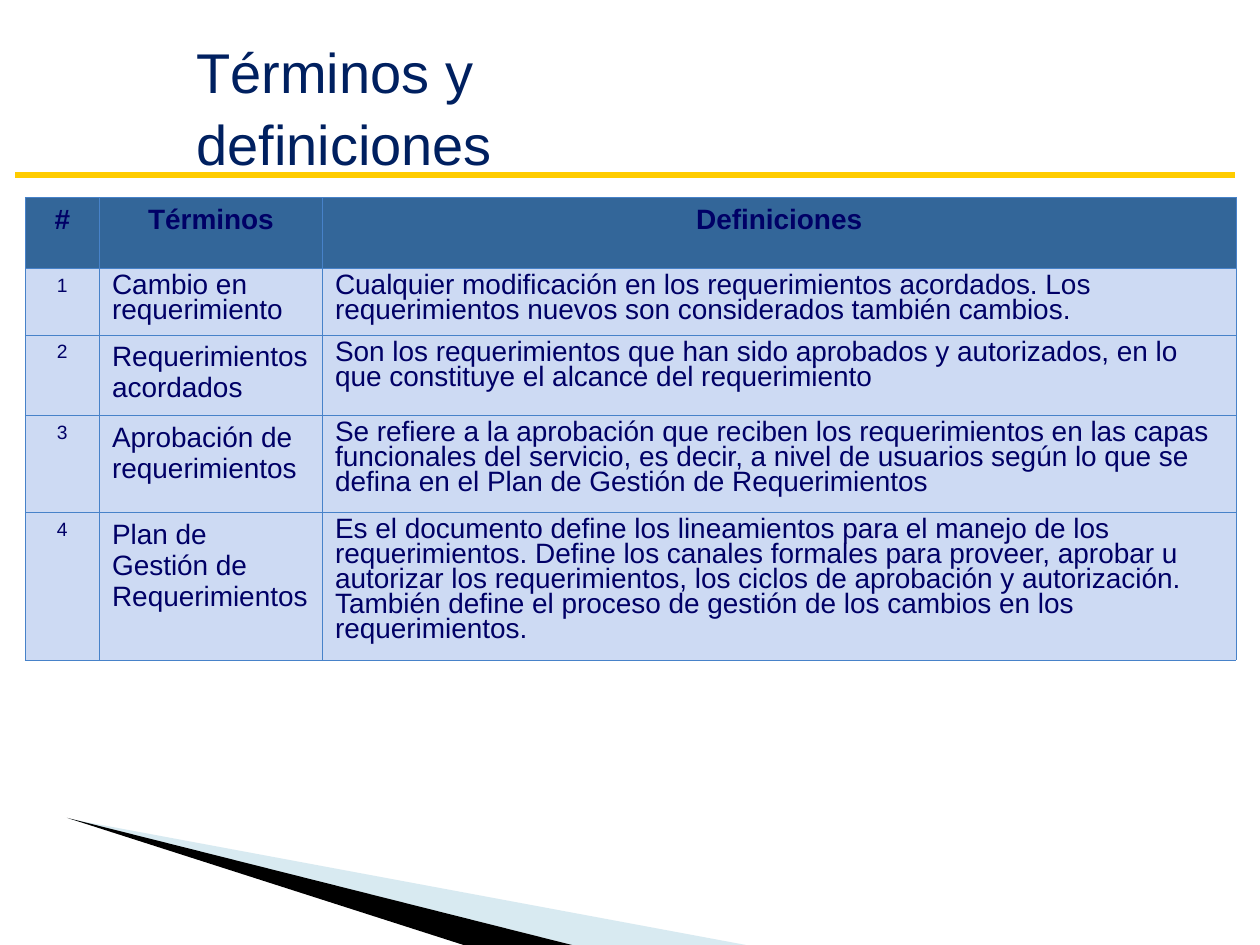
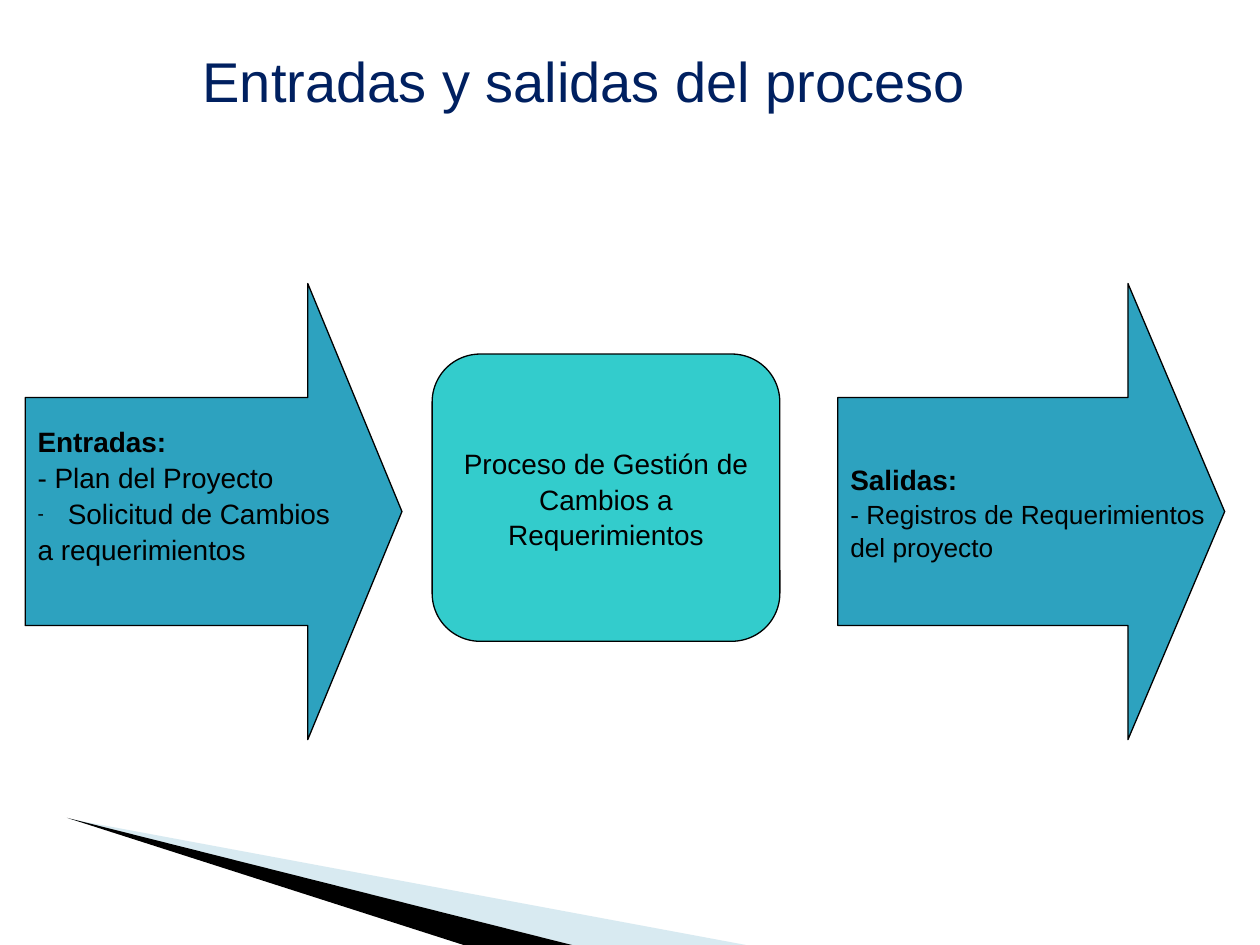
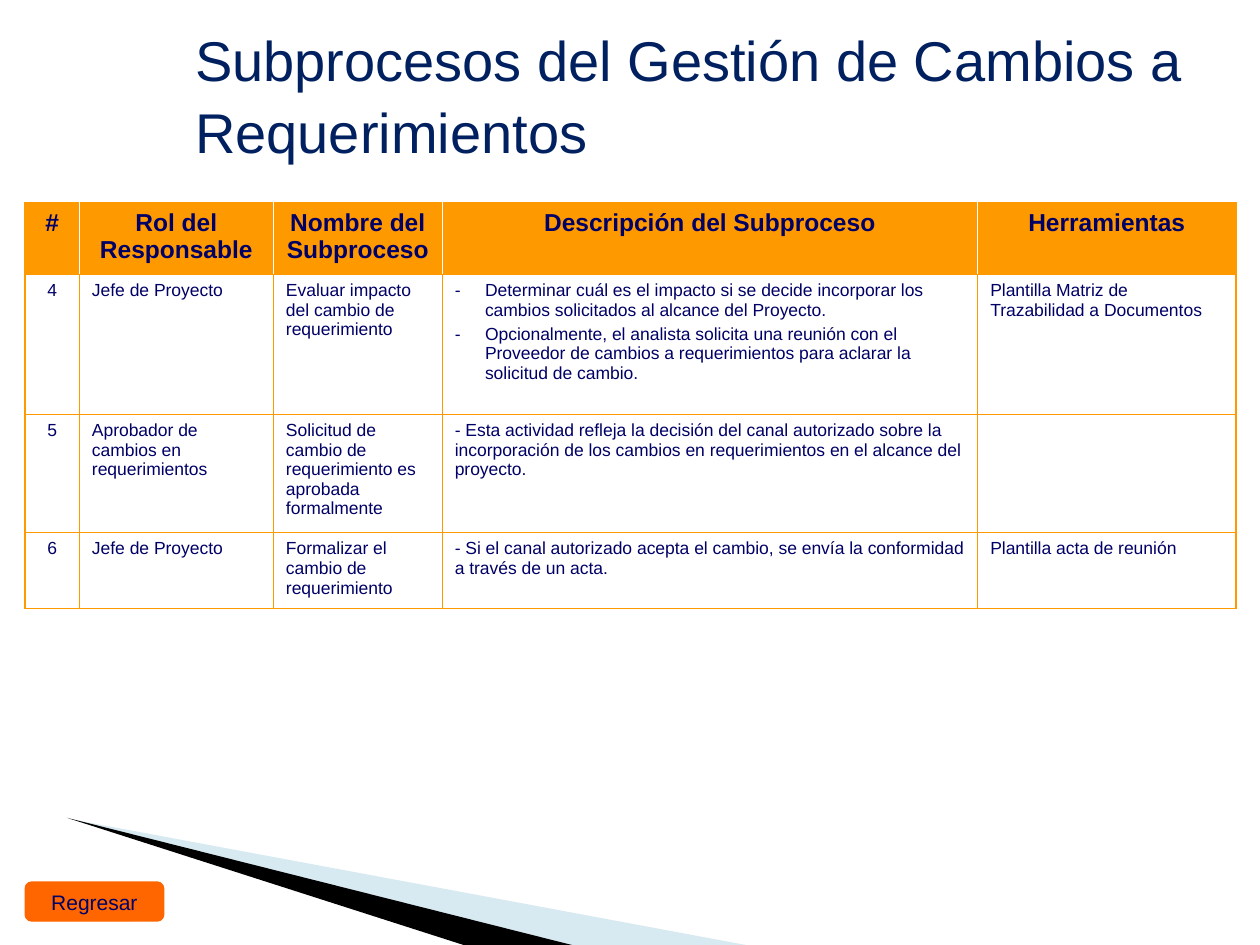
import pptx
import pptx.util
import pptx.dml.color
import pptx.enum.shapes
import pptx.enum.text
import pptx.oxml.ns
import lxml.etree

Inches = pptx.util.Inches
Pt = pptx.util.Pt
SHAPE = pptx.enum.shapes.MSO_SHAPE
CENTER = pptx.enum.text.PP_ALIGN.CENTER
LEFT = pptx.enum.text.PP_ALIGN.LEFT

FONT = "Arial"
TITLE_BLUE = "002060"
TEXT_BLUE = "000066"
BLACK = "000000"
ARROW_BLUE = "2DA2BF"
ORANGE = "FF9900"
HANGING = 0.24


class Bullet(str):
    pass


def color(value):
    return pptx.dml.color.RGBColor.from_string(value)


def add_xml(parent, tag, **attributes):
    return lxml.etree.SubElement(parent, pptx.oxml.ns.qn(tag), attributes)


def add_bullet(para, shade, percent):
    props = para._p.get_or_add_pPr()
    props.set("marL", str(Inches(HANGING)))
    props.set("indent", str(-Inches(HANGING)))
    add_xml(add_xml(props, "a:buClr"), "a:srgbClr", val=shade)
    add_xml(props, "a:buSzPct", val=str(percent * 1000))
    add_xml(props, "a:buFont", typeface=FONT)
    add_xml(props, "a:buChar", char="-")


def set_border(cell, side, shade, width):
    props = cell._tc.get_or_add_tcPr()
    line = lxml.etree.Element(pptx.oxml.ns.qn("a:ln" + side), {"w": str(Pt(width))})
    add_xml(add_xml(line, "a:solidFill"), "a:srgbClr", val=shade)
    props.insert("LRTB".index(side), line)


def blue_border(side, row, col, last_row, last_col):
    return "4782C9", 0.45


def orange_border(side, row, col, last_row, last_col):
    outer = {"L": col == 0, "R": col == last_col, "T": row == 0, "B": row == last_row}
    if outer[side]:
        return ORANGE, 1.08
    if row == 0 and side in "LR":
        return "FFFFFF", 0.45
    return ORANGE, 0.75


class Deck:
    def __init__(self):
        self.deck = pptx.Presentation()
        self.deck.slide_width = Inches(10)
        self.deck.slide_height = Inches(7.5)
        self.page = None

    def add_page(self):
        self.page = self.deck.slides.add_slide(self.deck.slide_layouts[6])
        self.wedge([(0.55, 6.5), (5.92, 7.5), (4.54, 7.5)], "9FCBDC", 40)
        self.wedge([(0.53, 6.49), (4.54, 7.5), (3.68, 7.5)], BLACK)

    def wedge(self, points, fill, opacity=100):
        corners = [(Inches(x), Inches(y)) for x, y in points]
        builder = self.page.shapes.build_freeform(*corners[0], scale=1)
        builder.add_line_segments(corners[1:], close=True)
        shape = builder.convert_to_shape()
        shape.shadow.inherit = False
        shape.fill.solid()
        shape.fill.fore_color.rgb = color(fill)
        shape.line.fill.background()
        if opacity < 100:
            shade = shape._element.spPr.find(".//" + pptx.oxml.ns.qn("a:srgbClr"))
            add_xml(shade, "a:alpha", val=str(opacity * 1000))

    def fill_text(self, frame, paras, size, shade, align=LEFT, bold=False,
                  spacing=1.07, before=0, bullet_percent=100):
        for index, content in enumerate(paras):
            para = frame.paragraphs[0] if index == 0 else frame.add_paragraph()
            para.alignment = align
            if spacing:
                para.line_spacing = spacing
            if index and before:
                para.space_before = Pt(before)
            if isinstance(content, Bullet):
                add_bullet(para, shade, bullet_percent)
            para.font.name = FONT
            para.font.size = Pt(size)
            para.font.bold = bold
            para.font.color.rgb = color(shade)
            if isinstance(content, tuple):
                lead, content = content
                span = para.add_run()
                span.text = lead
                span.font.bold = True
                span.font.size = Pt(16)
                para.add_line_break()
            para.add_run().text = content

    def title(self, text, left, top, width, height=0.64, wrap=True):
        box = self.page.shapes.add_textbox(
            Inches(left), Inches(top), Inches(width), Inches(height))
        box.text_frame.word_wrap = wrap
        self.fill_text(box.text_frame, [text], 32, TITLE_BLUE)

    def rule(self, left, right, top, shade, width):
        line = self.page.shapes.add_connector(
            pptx.enum.shapes.MSO_CONNECTOR.STRAIGHT,
            Inches(left), Inches(top), Inches(right), Inches(top))
        line.line.color.rgb = color(shade)
        line.line.width = Pt(width)
        add_xml(line._element.spPr, "a:effectLst")

    def block(self, kind, place, fill, paras, size=16, shade=BLACK, outline=BLACK,
              adjustments=(), wrap=False, align=LEFT, bottom=0.05, bullet_percent=100):
        shape = self.page.shapes.add_shape(kind, *map(Inches, place))
        for index, value in enumerate(adjustments):
            shape.adjustments[index] = value
        shape.shadow.inherit = False
        shape.fill.solid()
        shape.fill.fore_color.rgb = color(fill)
        shape.line.color.rgb = color(outline)
        shape.line.width = Pt(0.75)
        frame = shape.text_frame
        frame.word_wrap = wrap
        frame.vertical_anchor = pptx.enum.text.MSO_ANCHOR.MIDDLE
        frame.margin_bottom = Inches(bottom)
        self.fill_text(frame, paras, size, shade, align, bullet_percent=bullet_percent)

    def arrow(self, left, width, paras, **style):
        self.block(SHAPE.RIGHT_ARROW, (left, 2.25, width, 3.62), ARROW_BLUE, paras,
                   adjustments=(0.5, 0.25), **style)

    def table(self, top, widths, heights, rows, sizes, header_fill, body_fill,
              border, spacing=lambda row, col: None):
        head_size, number_size, body_size = sizes
        table = self.page.shapes.add_table(
            len(rows), len(widths), Inches(0.2), Inches(top),
            Inches(sum(widths)), Inches(sum(heights))).table
        table.horz_banding = False
        table.first_row = False
        for column, width in zip(table.columns, widths):
            column.width = Inches(width)
        for line, height in zip(table.rows, heights):
            line.height = Inches(height)
        for row, contents in enumerate(rows):
            for col, content in enumerate(contents):
                cell = table.cell(row, col)
                fill = body_fill if row else header_fill
                if fill:
                    cell.fill.solid()
                    cell.fill.fore_color.rgb = color(fill)
                else:
                    cell.fill.background()
                for side in "LRTB":
                    set_border(cell, side, *border(
                        side, row, col, len(rows) - 1, len(widths) - 1))
                if not content:
                    continue
                size = head_size if row == 0 else number_size if col == 0 else body_size
                self.fill_text(cell.text_frame,
                               content if isinstance(content, list) else [content],
                               size, TEXT_BLUE, LEFT if row and col else CENTER,
                               bold=row == 0, spacing=spacing(row, col), before=2.5)


TERMS = [
    ("#", "Términos", "Definiciones"),
    ("1", "Cambio en requerimiento",
     "Cualquier modificación en los requerimientos acordados. Los requerimientos nuevos "
     "son considerados también cambios."),
    ("2", "Requerimientos acordados",
     "Son los requerimientos que han sido aprobados y autorizados, en lo que constituye "
     "el alcance del requerimiento"),
    ("3", "Aprobación de requerimientos",
     "Se refiere a la aprobación que reciben los requerimientos en las capas funcionales "
     "del servicio, es decir, a nivel de usuarios según lo que se defina en el Plan de "
     "Gestión de Requerimientos"),
    ("4", "Plan de Gestión de Requerimientos",
     "Es el documento define los lineamientos para el manejo de los requerimientos. "
     "Define los canales formales para proveer, aprobar u autorizar los requerimientos, "
     "los ciclos de aprobación y autorización. También define el proceso de gestión de "
     "los cambios en los requerimientos."),
]

SUBPROCESSES = [
    ("#", "Rol del Responsable", "Nombre del Subproceso", "Descripción del Subproceso",
     "Herramientas"),
    ("4", "Jefe de Proyecto", "Evaluar impacto del cambio de requerimiento",
     [Bullet("Determinar cuál es el impacto si se decide incorporar los cambios "
             "solicitados al alcance del Proyecto."),
      Bullet("Opcionalmente, el analista solicita una reunión con el Proveedor de cambios "
             "a requerimientos para aclarar la solicitud de cambio.")],
     "Plantilla Matriz de Trazabilidad a Documentos"),
    ("5", "Aprobador de cambios en requerimientos",
     "Solicitud de cambio de requerimiento es aprobada formalmente",
     "- Esta actividad refleja la decisión del canal autorizado sobre la incorporación "
     "de los cambios en requerimientos en el alcance del proyecto.", ""),
    ("6", "Jefe de Proyecto", "Formalizar el cambio de requerimiento",
     "- Si el canal autorizado acepta el cambio, se envía la conformidad a través de "
     "un acta.", "Plantilla acta de reunión"),
]


def tight_definitions(row, col):
    return 0.8 if row and (col == 2 or (row, col) == (1, 1)) else None


def main():
    show = Deck()

    show.add_page()
    show.title("Términos y definiciones", 1.46, 0.21, 4.87, wrap=False)
    show.rule(0.12, 9.8, 1.39, "FFCC00", 3)
    show.table(1.57, [0.59, 1.77, 7.25], [0.56, 0.53, 0.64, 0.77, 1.17], TERMS,
               (16, 11, 16), "336699", "CDDAF3", blue_border, tight_definitions)

    show.add_page()
    show.title("Entradas y salidas del proceso", 1.51, 0.28, 6.8)
    show.arrow(0.2, 2.99, [("Entradas:", "- Plan del Proyecto"),
                           Bullet("Solicitud de Cambios"), "a requerimientos"],
               bottom=0.32, bullet_percent=68)
    show.block(SHAPE.ROUNDED_RECTANGLE, (3.43, 2.81, 2.76, 2.28), "33CCCC",
               ["Proceso de Gestión de Cambios a Requerimientos"],
               adjustments=(0.167,), wrap=True, align=CENTER)
    show.arrow(6.65, 3.07, [("Salidas:", "- Registros de Requerimientos"),
                            "del proyecto"], size=15)

    show.add_page()
    show.table(1.61, [0.43, 1.54, 1.34, 4.25, 2.05], [0.57, 1.11, 0.94, 0.6],
               SUBPROCESSES, (14, 10, 10), ORANGE, None, orange_border)
    show.block(SHAPE.FLOWCHART_ALTERNATE_PROCESS, (0.2, 7, 1.1, 0.31), "FF6600",
               ["Regresar"], size=12, shade=TEXT_BLUE, outline="FF6600", align=CENTER)
    show.title("Subprocesos del Gestión de Cambios a Requerimientos",
               1.45, 0.12, 8.4, 1.17)

    show.deck.save("out.pptx")


if __name__ == "__main__":
    main()
